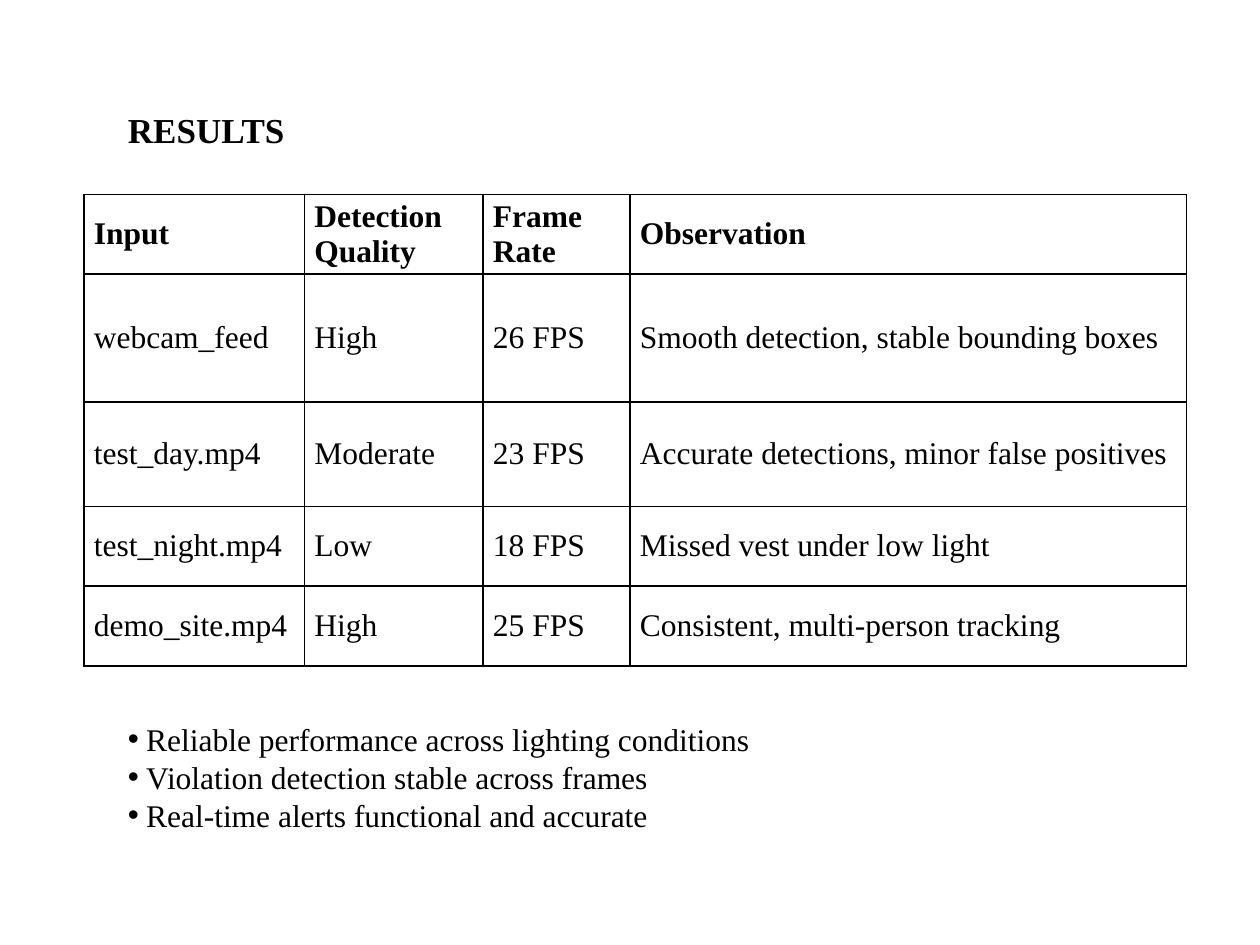
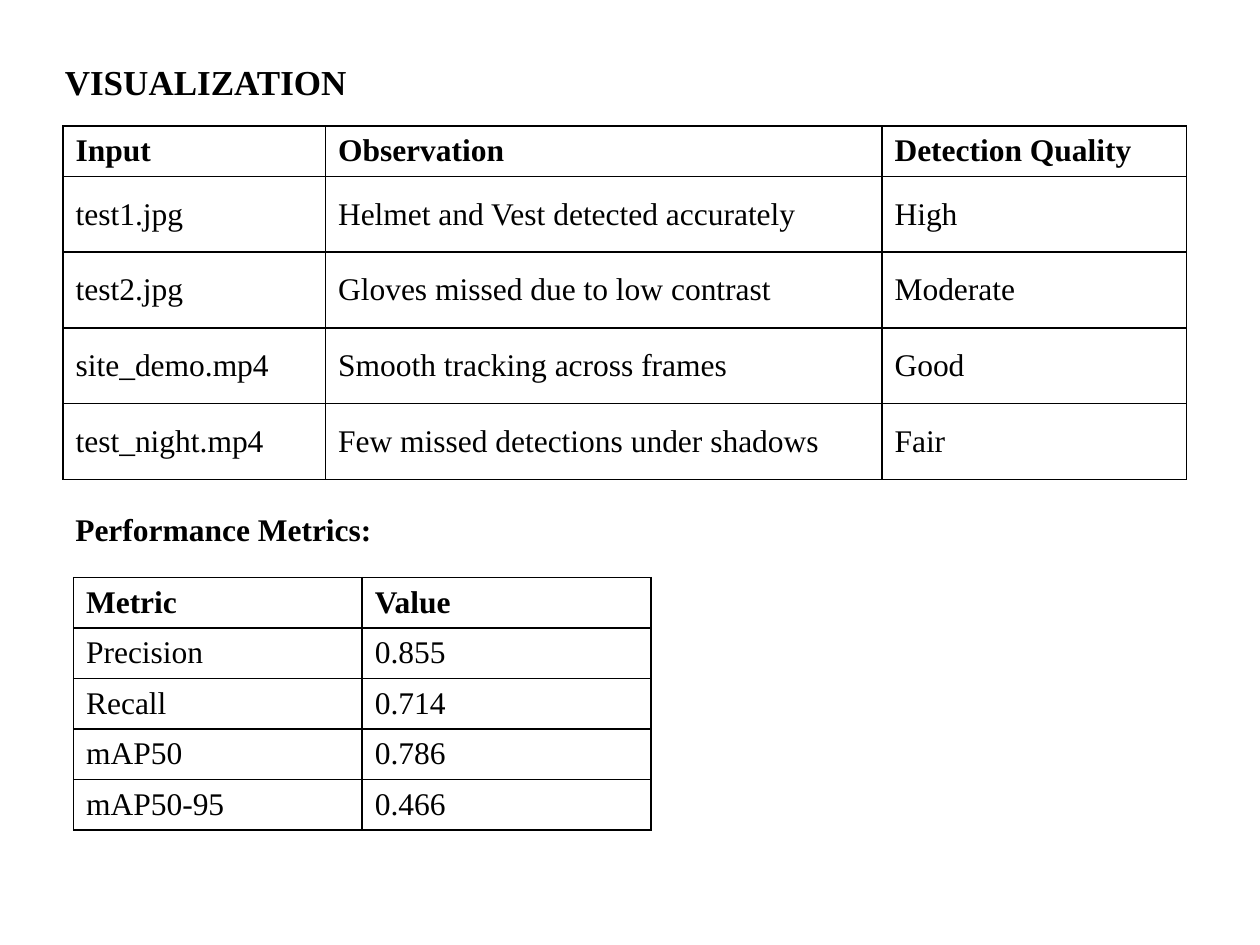
import pptx
import pptx.dml.color
import pptx.enum.text
import pptx.oxml.ns
import pptx.util
from lxml import etree

Pt = pptx.util.Pt
BLACK = pptx.dml.color.RGBColor(0x00, 0x00, 0x00)
WHITE = pptx.dml.color.RGBColor(0xFF, 0xFF, 0xFF)
FONT = "Times New Roman"
TITLE_SIZE, BODY_SIZE = 20, 18
MIDDLE = pptx.enum.text.MSO_ANCHOR.MIDDLE
TOP = pptx.enum.text.MSO_ANCHOR.TOP
qn = pptx.oxml.ns.qn


def style_runs(p, size=BODY_SIZE, bold=False):
    for r in p.runs:
        r.font.name = FONT
        r.font.size = Pt(size)
        r.font.bold = bold
        r.font.color.rgb = BLACK


def add_text(slide, box, text, size=BODY_SIZE, bold=False, anchor=TOP, wrap=True):
    sp = slide.shapes.add_textbox(*map(Pt, box))
    tf = sp.text_frame
    tf.word_wrap = wrap
    tf.auto_size = pptx.enum.text.MSO_AUTO_SIZE.SHAPE_TO_FIT_TEXT
    tf.vertical_anchor = anchor
    tf.text = text
    for p in tf.paragraphs:
        style_runs(p, size, bold)
    return tf


def add_title(slide, box, text, wrap=True):
    add_text(slide, box, text, TITLE_SIZE, True, MIDDLE, wrap)


def add_bullets(slide, box, items):
    tf = add_text(slide, box, "\n".join(items))
    hang = Pt(10.5)
    for p in tf.paragraphs:
        p.line_spacing = Pt(21.75)
        pPr = p._p.get_or_add_pPr()
        pPr.set("marL", str(hang))
        pPr.set("indent", str(-hang))
        etree.SubElement(pPr, qn("a:buFont"), typeface="Arial")
        etree.SubElement(pPr, qn("a:buChar"), char="•")


def add_borders(cell, width=1):
    tcPr = cell._tc.get_or_add_tcPr()
    for i, side in enumerate(("lnL", "lnR", "lnT", "lnB")):
        ln = etree.Element(qn("a:" + side), w=str(Pt(width)))
        fill = etree.SubElement(ln, qn("a:solidFill"))
        etree.SubElement(fill, qn("a:srgbClr"), val=str(BLACK))
        tcPr.insert(i, ln)


def add_grid(slide, left, top, widths, heights, rows, margins=None):
    """Bordered table with a bold first row; margins are (side, vertical)."""
    table = slide.shapes.add_table(
        len(rows), len(widths), Pt(left), Pt(top),
        Pt(sum(widths)), Pt(sum(heights))).table
    table.first_row = table.horz_banding = False
    for column, width in zip(table.columns, widths):
        column.width = Pt(width)
    for i, (height, values) in enumerate(zip(heights, rows)):
        table.rows[i].height = Pt(height)
        for cell, value in zip(table.rows[i].cells, values):
            cell.text = value
            cell.vertical_anchor = MIDDLE
            if margins:
                cell.margin_left = cell.margin_right = Pt(margins[0])
                cell.margin_top = cell.margin_bottom = Pt(margins[1])
            cell.fill.solid()
            cell.fill.fore_color.rgb = WHITE
            add_borders(cell)
            style_runs(cell.text_frame.paragraphs[0], bold=i == 0)


def results_slide(slide):
    # Detection results per input
    add_grid(slide, 48, 111, (126, 102, 84, 318), (45.6, 73.2, 59.6, 45.6, 45.6), [
        ("Input", "Detection Quality", "Frame Rate", "Observation"),
        ("webcam_feed", "High", "26 FPS", "Smooth detection, stable bounding boxes"),
        ("test_day.mp4", "Moderate", "23 FPS", "Accurate detections, minor false positives"),
        ("test_night.mp4", "Low", "18 FPS", "Missed vest under low light"),
        ("demo_site.mp4", "High", "25 FPS", "Consistent, multi-person tracking"),
    ], margins=(5.7, 2.85))
    add_title(slide, (66, 58.5, 594, 31.5), "RESULTS")
    # Findings
    add_bullets(slide, (66, 407.5, 612, 72.5), [
        "Reliable performance across lighting conditions",
        "Violation detection stable across frames",
        "Real-time alerts functional and accurate",
    ])


def visualization_slide(slide):
    header = 28.8
    # Observations per file
    add_grid(slide, 36, 72, (150, 318, 174), [header] + [43.3] * 4, [
        ("Input", "Observation", "Detection Quality"),
        ("test1.jpg", "Helmet and Vest detected accurately", "High"),
        ("test2.jpg", "Gloves missed due to low contrast", "Moderate"),
        ("site_demo.mp4", "Smooth tracking across frames", "Good"),
        ("test_night.mp4", "Few missed detections under shadows", "Fair"),
    ])
    # Model metrics
    add_grid(slide, 42, 330, (165, 165), [header] * 5, [
        ("Metric", "Value"),
        ("Precision", "0.855"),
        ("Recall", "0.714"),
        ("mAP50", "0.786"),
        ("mAP50-95", "0.466"),
    ])
    add_title(slide, (30, 31, 177, 31.5), "VISUALIZATION", wrap=False)
    add_text(slide, (36, 288, 186, 29), "Performance Metrics:", bold=True, wrap=False)


def main():
    prs = pptx.Presentation()
    prs.slide_width, prs.slide_height = Pt(720), Pt(540)
    for build in (results_slide, visualization_slide):
        build(prs.slides.add_slide(prs.slide_layouts[6]))
    prs.save("out.pptx")


if __name__ == "__main__":
    main()
